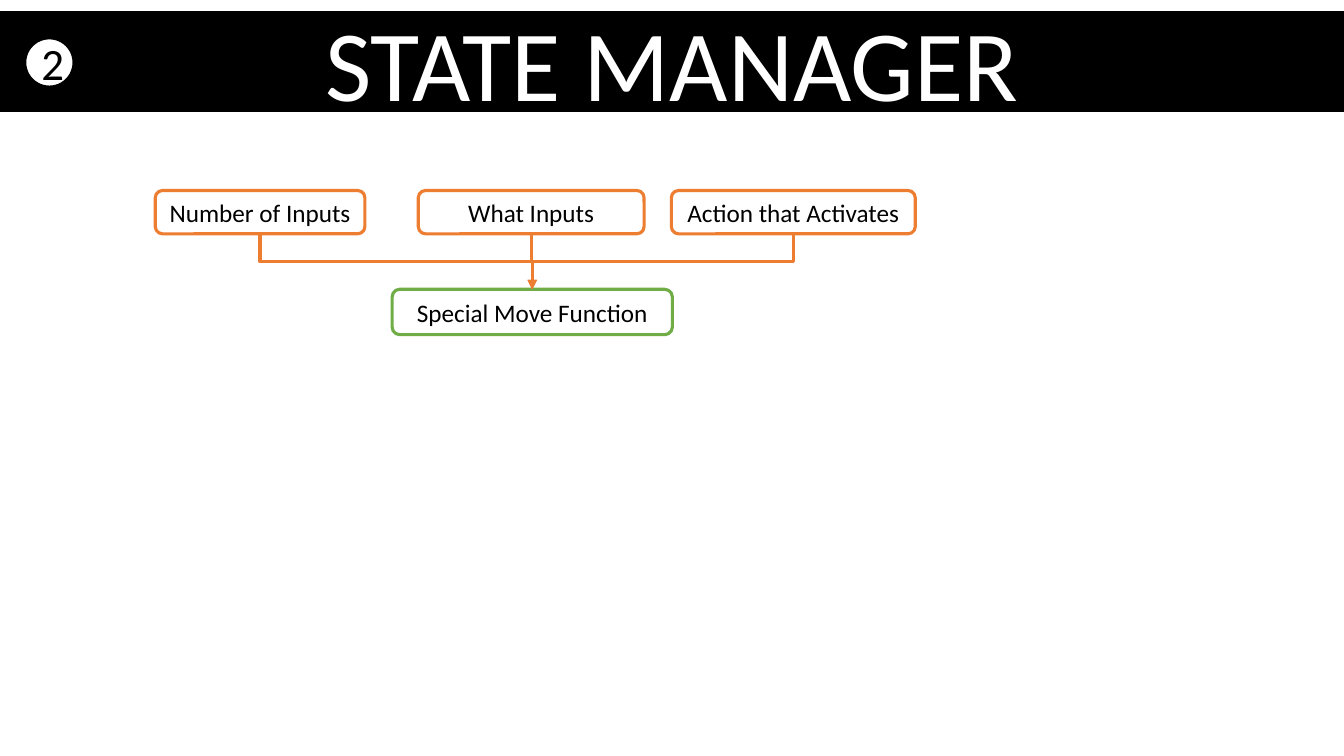
from lxml import etree
from pptx import Presentation
from pptx import util as u
from pptx.dml.color import RGBColor
from pptx.enum import shapes, text
from pptx.oxml import ns

PX = 9144  # 100 px to the inch
BLACK = RGBColor(0x00, 0x00, 0x00)
WHITE = RGBColor(0xFF, 0xFF, 0xFF)
ORANGE = RGBColor(0xED, 0x7D, 0x31)
GREEN = RGBColor(0x70, 0xAD, 0x47)
FONT = "Calibri"
LINE_WIDTH = 2.25

# Content: boxes are left, top, width, height in px
TITLE = ("STATE MANAGER", (0, 11, 1333, 100))
NUMBER = ("2", (24, 37, 50, 50))
INPUT_TOP, INPUT_HEIGHT = 189, 43
INPUTS = [  # label, left, width
    ("Number of Inputs", 154, 208),
    ("What Inputs", 415, 224),
    ("Action that Activates", 666, 242),
]
RESULT = ("Special Move Function", (389, 287, 278, 45))


def place(shape, box):
    shape.left, shape.top, shape.width, shape.height = (round(v * PX) for v in box)


def write(shape, label, size, color):
    frame = shape.text_frame
    frame.word_wrap = True
    frame.auto_size = text.MSO_AUTO_SIZE.NONE
    frame.vertical_anchor = text.MSO_ANCHOR.MIDDLE
    paragraph = frame.paragraphs[0]
    paragraph.text = label
    paragraph.alignment = text.PP_ALIGN.CENTER
    paragraph.font.name = FONT
    paragraph.font.size = u.Pt(size)
    paragraph.font.color.rgb = color


def add_node(kind, label, box, size, line_color, line_width, fill=None):
    shape = slide.shapes.add_shape(kind, *(v * PX for v in box))
    shape.shadow.inherit = False
    if fill is None:
        shape.fill.background()
    else:
        shape.fill.solid()
        shape.fill.fore_color.rgb = fill
    shape.line.color.rgb = line_color
    shape.line.width = u.Pt(line_width)
    write(shape, label, size, BLACK)
    return shape


def add_elbow(source, target):
    """Run from the bottom of source down, across and down to the top of target."""
    x1, y1 = source.left + source.width // 2, source.top + source.height
    x2, y2 = target.left + target.width // 2, target.top
    connector = slide.shapes.add_connector(shapes.MSO_CONNECTOR.ELBOW, x1, y1, x2, y2)
    connector.begin_connect(source, 2)
    connector.end_connect(target, 0)
    connector.line.color.rgb = ORANGE
    connector.line.width = u.Pt(LINE_WIDTH)

    # The elbow leaves sideways by default, so turn it about its centre
    length, breadth = y2 - y1, abs(x2 - x1)
    connector.left = (x1 + x2 - length) // 2
    connector.top = (y1 + y2 - breadth) // 2
    connector.width, connector.height = length, breadth
    properties = connector._element.spPr
    transform = properties.find(ns.qn("a:xfrm"))
    rightward = x2 > x1
    transform.set("rot", str((270 if rightward else 90) * 60000))
    transform.set("flipH", "1" if rightward else "0")
    transform.set("flipV", "0")

    # Arrowhead, no shadow
    etree.SubElement(properties.find(ns.qn("a:ln")), ns.qn("a:tailEnd"), type="triangle")
    etree.SubElement(properties, ns.qn("a:effectLst"))


presentation = Presentation()
presentation.slide_width, presentation.slide_height = u.Inches(13.333), u.Inches(7.5)
slide = presentation.slides.add_slide(presentation.slide_layouts[5])

# Title banner with its number
title_label, title_box = TITLE
title = slide.shapes.title
place(title, title_box)
title.width = presentation.slide_width
title.fill.solid()
title.fill.fore_color.rgb = BLACK
write(title, title_label, 72, WHITE)
number_label, number_box = NUMBER
add_node(shapes.MSO_SHAPE.OVAL, number_label, number_box, 32, BLACK, 3, WHITE)

# Inputs leading to the function
ROUNDED = shapes.MSO_SHAPE.ROUNDED_RECTANGLE
input_nodes = [
    add_node(ROUNDED, label, (left, INPUT_TOP, width, INPUT_HEIGHT), 18,
             ORANGE, LINE_WIDTH, WHITE)
    for label, left, width in INPUTS
]
result_label, result_box = RESULT
result_node = add_node(ROUNDED, result_label, result_box, 18, GREEN, LINE_WIDTH)
for input_node in input_nodes:
    add_elbow(input_node, result_node)

presentation.save("out.pptx")
